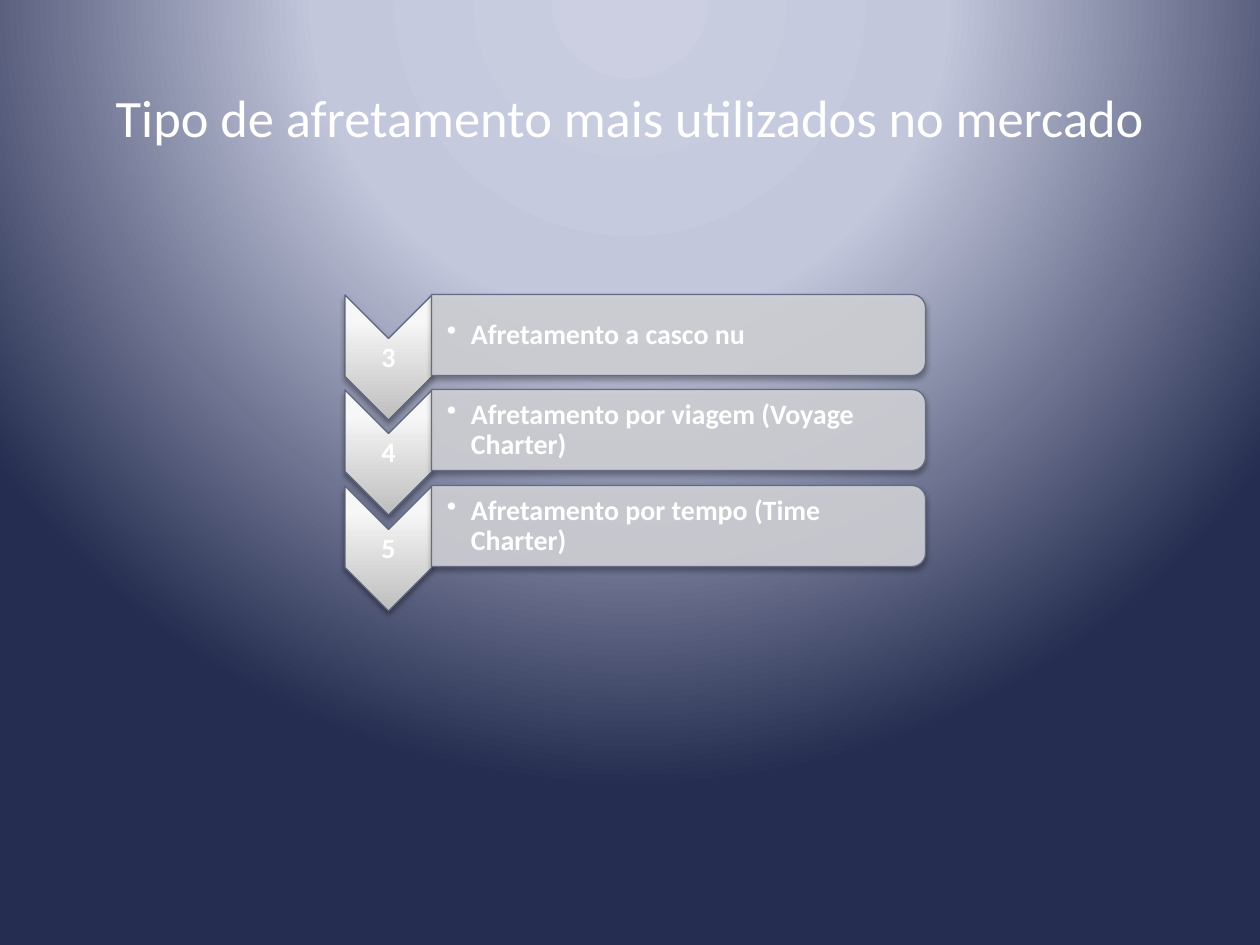
from lxml import etree
from pptx import Presentation
from pptx.dml.color import RGBColor
from pptx.enum.shapes import MSO_SHAPE
from pptx.enum.text import MSO_ANCHOR, PP_ALIGN
from pptx.oxml import parse_xml
from pptx.oxml.ns import nsdecls, qn
from pptx.util import Emu, Pt

PX = 914400 // 126
CHEVRON = MSO_SHAPE.CHEVRON
BAR = MSO_SHAPE.ROUND_2_SAME_RECTANGLE
LEFT, CENTER = PP_ALIGN.LEFT, PP_ALIGN.CENTER
MIDDLE = MSO_ANCHOR.MIDDLE

COLORS = {
    "white": "FFFFFF", "black": "000000",
    "glow": "CBCFE1", "haze": "C3C7DC", "navy": "252D50",
    "steel": "BEBEBE", "silver": "F7F7F7", "shine": "F8F8F8",
    "bar": "D3D4D9", "chevron_line": "5B617A", "bar_line": "646B86",
}


def px(n):
    return Emu(n * PX)


def rgb(name):
    return RGBColor.from_string(COLORS[name])


def write_text(tf, text, size=16, bold=False, align=LEFT, spacing=None, bullet=None, hang=0):
    p = tf.paragraphs[0]
    p.alignment = align
    if spacing:
        p.line_spacing = spacing
    if bullet:
        pPr = p._p.get_or_add_pPr()
        pPr.set("marL", str(px(hang)))
        pPr.set("indent", str(-px(hang)))
        etree.SubElement(pPr, qn("a:buChar"), char=bullet)
    r = p.add_run()
    r.text = text
    r.font.name = "Calibri"
    r.font.size = Pt(size)
    r.font.bold = bold
    r.font.color.rgb = rgb("white")


class Deck:
    def __init__(self, width, height):
        self.prs = Presentation()
        self.prs.slide_width, self.prs.slide_height = px(width), px(height)
        self.s = self.prs.slides.add_slide(self.prs.slide_layouts[6])

    def gradient(self, parent, stops, direction):
        """Put a gradient in place of the solid fill of parent."""
        gs = "".join(f'<a:gs pos="{pos * 1000}"><a:srgbClr val="{COLORS[c]}"/></a:gs>'
                     for pos, c in stops)
        grad = parse_xml(f'<a:gradFill {nsdecls("a")} rotWithShape="0">'
                         f'<a:gsLst>{gs}</a:gsLst>{direction}</a:gradFill>')
        parent.replace(parent.find(qn("a:solidFill")), grad)

    def background(self, stops, direction):
        self.s.background.fill.solid()
        self.gradient(self.s._element.find(".//" + qn("p:bgPr")), stops, direction)

    def turned_shape(self, kind, x, y, w, h, fill, line):
        """Add a shape turned by 90 degrees that covers the box x, y, w, h."""
        left, top = x + (w - h) // 2, y + (h - w) // 2
        sp = self.s.shapes.add_shape(kind, px(left), px(top), px(h), px(w))
        sp.rotation = 90
        sp.fill.solid()
        sp.fill.fore_color.rgb = rgb(fill)
        sp.line.color.rgb = rgb(line)
        sp.line.width = Pt(0.75)
        self.shadow(sp)
        return sp

    def shadow(self, sp):
        sp.shadow.inherit = False
        sp._element.spPr.find(qn("a:effectLst")).append(parse_xml(
            f'<a:outerShdw {nsdecls("a")} blurRad="{Pt(3.1)}" dist="{Pt(1.8)}" '
            f'dir="5400000" rotWithShape="0"><a:srgbClr val="{COLORS["black"]}">'
            '<a:alpha val="35000"/></a:srgbClr></a:outerShdw>'))

    def chevron(self, x, y, w, h):
        sp = self.turned_shape(CHEVRON, x, y, w, h, "steel", "chevron_line")
        self.gradient(sp._element.spPr, [(0, "steel"), (80, "silver"), (100, "shine")],
                      '<a:lin ang="16200000" scaled="0"/>')

    def bar(self, x, y, w, h):
        sp = self.turned_shape(BAR, x, y, w, h, "bar", "bar_line")
        color = sp._element.spPr.find(qn("a:solidFill"))[0]
        etree.SubElement(color, qn("a:alpha"), val="90000")

    def text(self, x, y, w, h, text, inset=1, left_inset=1, **fmt):
        tf = self.s.shapes.add_textbox(px(x), px(y), px(w), px(h)).text_frame
        tf.word_wrap = True
        tf.vertical_anchor = MIDDLE
        tf.margin_left = px(left_inset)
        tf.margin_top = tf.margin_right = tf.margin_bottom = px(inset)
        write_text(tf, text, **fmt)


def main():
    deck = Deck(1260, 945)

    # Background glow from the top
    deck.background([(0, "glow"), (40, "haze"), (100, "navy")],
                    '<a:path path="circle"><a:fillToRect l="50000" t="-80000" '
                    'r="50000" b="180000"/></a:path>')

    # Title
    deck.text(63, 38, 1134, 157, "Tipo de afretamento mais utilizados no mercado",
              size=30, align=CENTER)

    # Numbered chevron list
    items = ["Afretamento a casco nu",
             "Afretamento por viagem (Voyage Charter)",
             "Afretamento por tempo (Time Charter)"]
    for i, item in enumerate(items):
        y = 295 + i * 191 // 2
        deck.chevron(345, y, 87, 125)
        deck.text(345, y + 44, 87, 38, str(i + 3), bold=True, align=CENTER, spacing=0.9)
        deck.bar(432, y, 494, 81)
        deck.text(432, y + 4, 490, 73, item, left_inset=15, bold=True, spacing=0.9,
                  bullet="•", hang=24)

    deck.prs.save("out.pptx")


if __name__ == "__main__":
    main()
